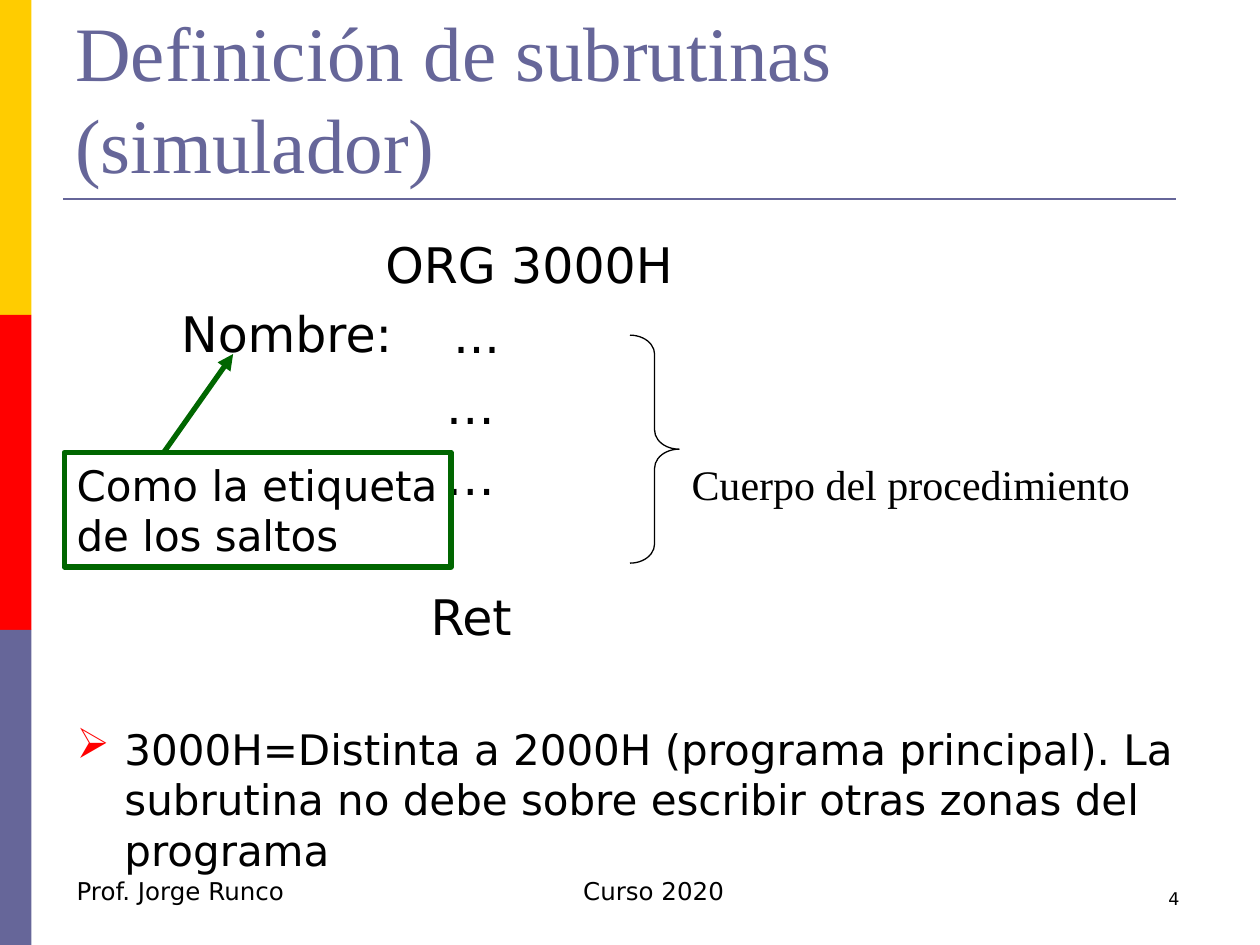
from lxml import etree
from pptx import Presentation
from pptx.dml.color import RGBColor
from pptx.enum.shapes import MSO_CONNECTOR as CONN, MSO_SHAPE as SHAPE
from pptx.enum.text import MSO_ANCHOR as ANCHOR, PP_ALIGN as ALIGN
from pptx.oxml.ns import qn
from pptx.util import Inches, Pt

SANS, SERIF = "DejaVu Sans", "Times New Roman"
BLACK, SLATE, RED, YELLOW, GREEN = "000000", "666699", "FF0000", "FFCC00", "006600"


def rgb(value):
    return RGBColor.from_string(value)


class SlideBuilder:
    """Holds the text style and the current slide, and adds elements to it."""

    def __init__(self, slide, font=SANS, color=BLACK):
        self.shapes = slide.shapes
        self.font = font
        self.color = color

    def style(self, p, size, font=None, color=None):
        for r in p.runs:
            r.font.size = Pt(size)
            r.font.name = font or self.font
            r.font.color.rgb = rgb(color or self.color)

    def shape(self, kind, box, fill=None, line=None, width=1):
        sp = self.shapes.add_shape(kind, *map(Inches, box))
        sp.shadow.inherit = False
        if fill:
            sp.fill.solid()
            sp.fill.fore_color.rgb = rgb(fill)
        else:
            sp.fill.background()
        if line:
            sp.line.color.rgb = rgb(line)
            sp.line.width = Pt(width)
        else:
            sp.line.fill.background()
        return sp

    def text(self, box, text, size, font=None, color=None,
             align=ALIGN.LEFT, anchor=ANCHOR.TOP):
        tf = self.shapes.add_textbox(*map(Inches, box)).text_frame
        tf.word_wrap = True
        tf.vertical_anchor = anchor
        p = tf.paragraphs[0]
        p.text = text
        p.alignment = align
        self.style(p, size, font, color)
        return tf

    def callout(self, box, text, size, color):
        sp = self.shape(SHAPE.RECTANGLE, box, line=color, width=3)
        tf = sp.text_frame
        tf.word_wrap = True
        p = tf.paragraphs[0]
        p.text = text
        p.alignment = ALIGN.LEFT
        self.style(p, size)

    def listing(self, box, lines):
        tf = self.text(box, "", 28)
        for i, (text, size, indent, before) in enumerate(lines):
            p = tf.add_paragraph() if i else tf.paragraphs[0]
            p.text = text
            p.space_before = Pt(before)
            p._p.get_or_add_pPr().set("marL", str(Inches(indent)))
            self.style(p, size)
        return tf

    def bullet(self, p, char, color, hanging):
        pPr = p._p.get_or_add_pPr()
        pPr.set("indent", str(-Inches(hanging)))
        clr = etree.SubElement(pPr, qn("a:buClr"))
        etree.SubElement(clr, qn("a:srgbClr")).set("val", color)
        etree.SubElement(pPr, qn("a:buChar")).set("char", char)

    def line(self, start, end, color, width, arrow=False):
        cn = self.shapes.add_connector(CONN.STRAIGHT, *map(Inches, start + end))
        cn.line.color.rgb = rgb(color)
        cn.line.width = Pt(width)
        if arrow:
            etree.SubElement(cn.line._get_or_add_ln(), qn("a:tailEnd")).set("type", "triangle")
        etree.SubElement(cn._element.spPr, qn("a:effectLst"))


def main():
    prs = Presentation()
    prs.slide_width, prs.slide_height = Inches(10), Inches(7.5)
    s = SlideBuilder(prs.slides.add_slide(prs.slide_layouts[6]))

    for i, color in enumerate((YELLOW, RED, SLATE)):
        s.shape(SHAPE.RECTANGLE, (0, 2.5 * i, 0.25, 2.5), fill=color)
    s.line((0.5, 1.58), (9.33, 1.58), SLATE, 1.5)

    s.text((0.51, 6.9, 2.2, 0.33), "Prof. Jorge Runco", 14)
    s.text((4.53, 6.9, 1.42, 0.33), "Curso 2020", 14)
    s.text((7.13, 7, 2.33, 0.5), "4", 10, align=ALIGN.RIGHT)
    s.text((0.5, 0.44, 9, 1.11), "Definición de subrutinas (simulador)", 44,
           SERIF, SLATE, anchor=ANCHOR.BOTTOM)

    note = ("3000H=Distinta a 2000H (programa principal). La subrutina "
            "no debe sobre escribir otras zonas del programa")
    body = s.listing((0.51, 1.81, 9, 5.69), [
        ("ORG 3000H", 28, 2.45, 0),
        ("...", 28, 2.99, 6.8),
        ("…", 28, 2.93, 6.8),
        ("…", 28, 2.93, 6.8),
        ("Ret", 28, 2.81, 46.2),
        (note, 24, 0.38, 44.8),
    ])
    s.bullet(body.paragraphs[-1], "➢", RED, 0.38)
    s.text((1.34, 2.36, 2.1, 0.55), "Nombre:", 28)

    brace = s.shape(SHAPE.RIGHT_BRACE, (5, 2.66, 0.39, 1.81), line=BLACK, width=0.75)
    brace.adjustments[0] = 0.39
    s.text((5.39, 3.59, 4.17, 0.48), "Cuerpo del procedimiento", 24, SERIF)

    s.callout((0.51, 3.59, 3.07, 0.91), "Como la etiqueta de los saltos", 24, GREEN)
    s.line((1.3, 3.59), (1.85, 2.81), GREEN, 3, arrow=True)

    prs.save("out.pptx")


if __name__ == "__main__":
    main()
